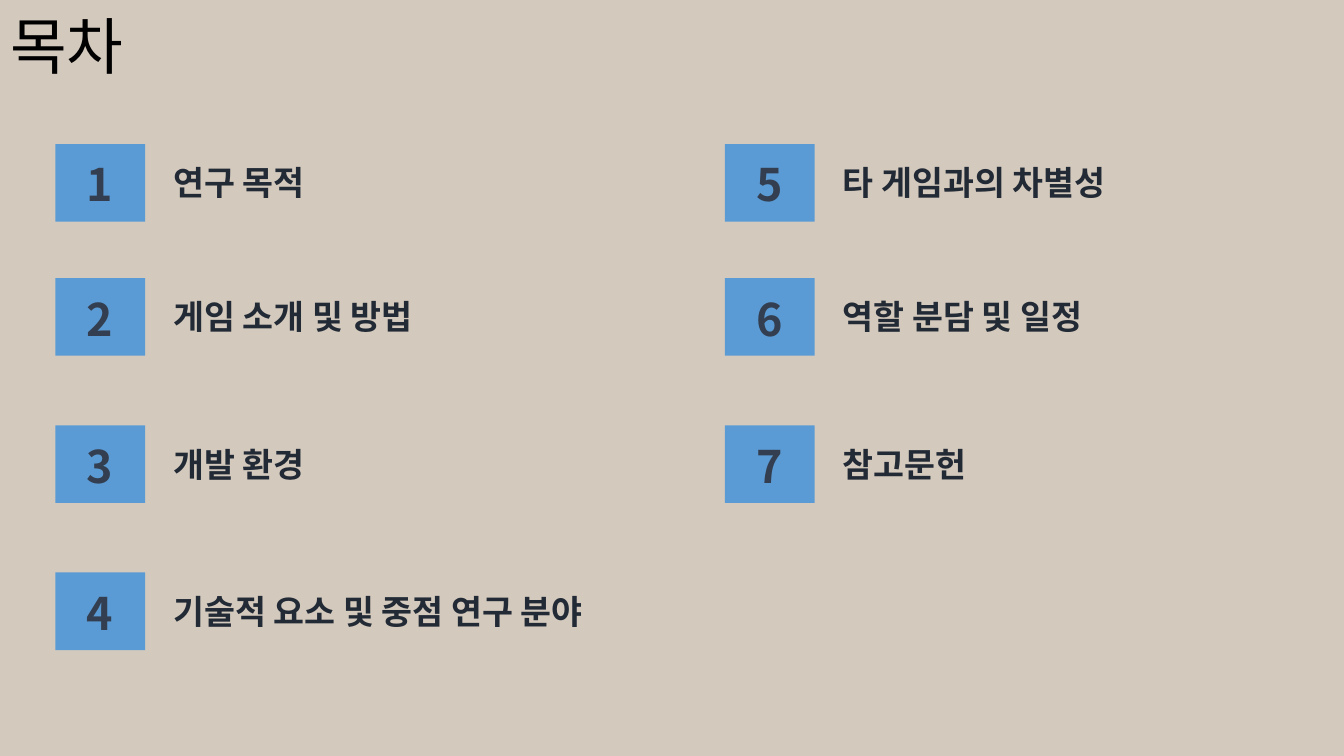
from dataclasses import dataclass

from lxml.etree import SubElement
from pptx import Presentation
from pptx.dml.color import RGBColor
from pptx.enum.shapes import MSO_SHAPE
from pptx.enum.text import MSO_ANCHOR, MSO_AUTO_SIZE, PP_ALIGN
from pptx.oxml.ns import qn
from pptx.shapes.autoshape import Shape
from pptx.util import Inches, Pt

FONT = "Noto Sans CJK KR"
COLORS = {
    "paper": "D3C9BD",
    "badge": "5B9BD5",
    "title": "000000",
    "digit": "333F50",
    "label": "222A35",
}
LEFTS = (0.55, 7.19)
TOPS = (1.43, 2.76, 4.22, 5.68)


@dataclass
class Topic:
    label: str
    width: float = 3.19


TOPICS = (
    Topic("연구 목적"),
    Topic("게임 소개 및 방법"),
    Topic("개발 환경"),
    Topic("기술적 요소 및 중점 연구 분야", 5.07),
    Topic("타 게임과의 차별성"),
    Topic("역할 분담 및 일정"),
    Topic("참고문헌"),
)


def add_block(shapes, left: float, top: float, width: float, height: float,
              color: str) -> Shape:
    block = shapes.add_shape(MSO_SHAPE.RECTANGLE, Inches(left), Inches(top),
                             Inches(width), Inches(height))
    block.shadow.inherit = False
    block.fill.solid()
    block.fill.fore_color.rgb = RGBColor.from_string(COLORS[color])
    block.line.fill.background()
    return block


def set_text(shape: Shape, text: str, size: int, color: str, bold: bool = False,
             wrap: bool = False, align: PP_ALIGN = PP_ALIGN.LEFT) -> None:
    frame = shape.text_frame
    frame.text = text
    frame.word_wrap = wrap
    frame.auto_size = MSO_AUTO_SIZE.SHAPE_TO_FIT_TEXT
    frame.vertical_anchor = MSO_ANCHOR.TOP
    line = frame.paragraphs[0]
    line.alignment = align
    font = line.runs[0].font
    font.name = FONT
    font.size = Pt(size)
    font.bold = bold
    font.color.rgb = RGBColor.from_string(COLORS[color])
    for props in shape.element.iter(qn("a:rPr")):
        SubElement(props, qn("a:ea")).set("typeface", FONT)


def add_topic(slide, number: int, topic: Topic) -> None:
    column, row = divmod(number - 1, len(TOPS))
    left, top = LEFTS[column], TOPS[row]
    shapes = slide.shapes.add_group_shape().shapes
    add_block(shapes, left, top, 0.89, 0.77, "badge")
    digit = shapes.add_textbox(Inches(left + 0.2), Inches(top + 0.08),
                               Inches(0.48), Inches(0.64))
    set_text(digit, str(number), 32, "digit", bold=True, align=PP_ALIGN.CENTER)
    label = shapes.add_textbox(Inches(left + 1.07), Inches(top + 0.13),
                               Inches(topic.width), Inches(0.5))
    set_text(label, topic.label, 24, "label", bold=True, wrap=True)


def main() -> None:
    deck = Presentation()
    deck.slide_width, deck.slide_height = Inches(13.33), Inches(7.5)
    slide = deck.slides.add_slide(deck.slide_layouts[5])
    title = slide.shapes.title
    title.left, title.top = Inches(0), Inches(0.03)
    title.width, title.height = Inches(1.5), Inches(0.84)
    set_text(title, "목차", 44, "title", wrap=True)
    paper = add_block(slide.shapes, 0, 0, 13.33, 7.5, "paper")
    title.element.addprevious(paper.element)
    for number, topic in enumerate(TOPICS, 1):
        add_topic(slide, number, topic)
    deck.save("out.pptx")


if __name__ == "__main__":
    main()
